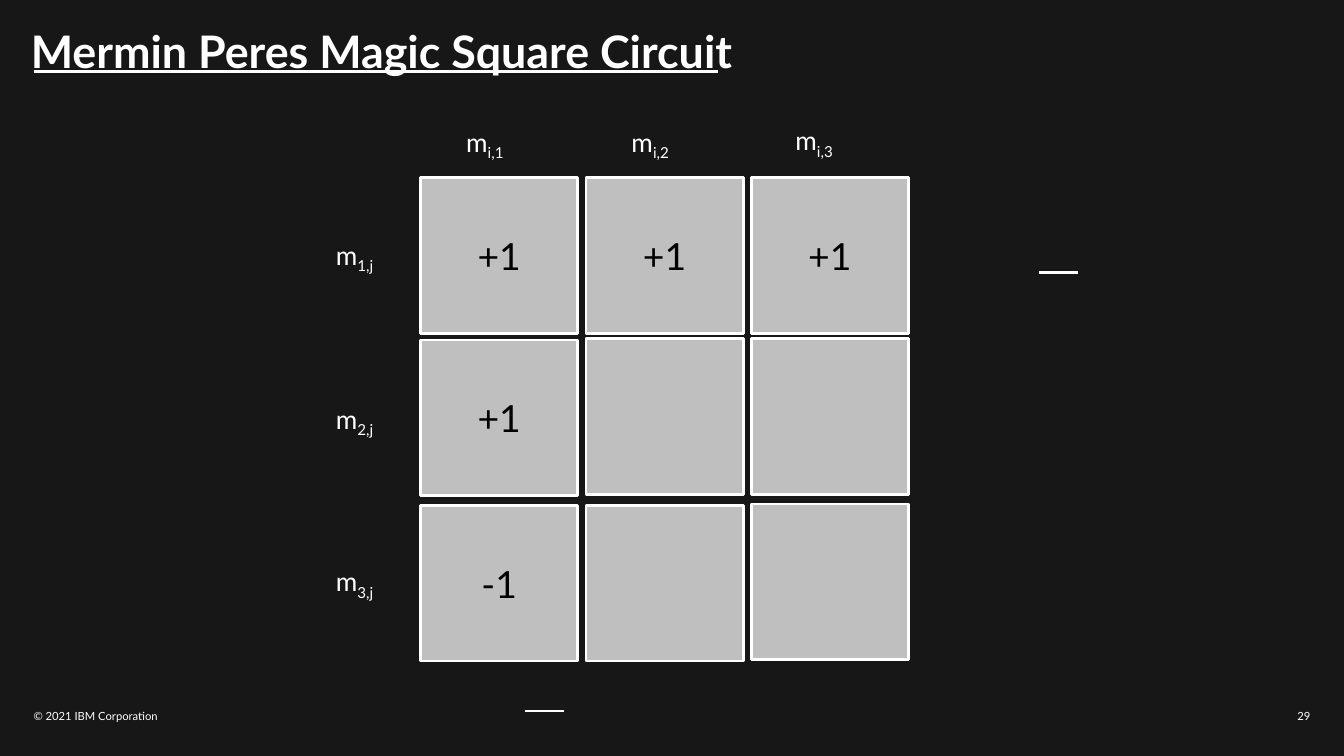
from lxml import etree
from pptx import Presentation
from pptx import util as u
from pptx.dml.color import RGBColor
from pptx.enum import shapes, text
from pptx.oxml import ns

BACKGROUND = RGBColor(0x17, 0x17, 0x17)
WHITE = RGBColor(0xFF, 0xFF, 0xFF)
BLACK = RGBColor(0, 0, 0)
GRAY = RGBColor(0xBF, 0xBF, 0xBF)


class Painter:
    font = "Lato"
    line_width = u.Pt(1.5)

    def __init__(self, page):
        self.page = page

    def add_span(self, para, words, size, color, bold=False, subscript=False):
        span = para.add_run()
        span.text = words
        span.font.name = self.font
        span.font.size = u.Pt(size)
        span.font.bold = bold
        span.font.color.rgb = color
        if subscript:
            span._r.get_or_add_rPr().set("baseline", "-25000")

    def set_margins(self, frame, margin):
        frame.margin_left = frame.margin_right = u.Inches(margin)
        frame.margin_top = frame.margin_bottom = u.Inches(margin)

    def add_text(self, left, top, width, height, words, size, bold=False,
                 anchor=text.MSO_ANCHOR.MIDDLE, align=text.PP_ALIGN.LEFT):
        box = self.page.shapes.add_textbox(*map(u.Inches, (left, top, width, height)))
        frame = box.text_frame
        frame.word_wrap = True
        frame.vertical_anchor = anchor
        self.set_margins(frame, 0)
        para = frame.paragraphs[0]
        para.alignment = align
        self.add_span(para, words, size, WHITE, bold)
        return para

    def add_label(self, left, top, index):
        box = self.page.shapes.add_textbox(*map(u.Inches, (left, top, 0.71, 0.34)))
        box.text_frame.word_wrap = True
        box.text_frame.auto_size = text.MSO_AUTO_SIZE.SHAPE_TO_FIT_TEXT
        para = box.text_frame.paragraphs[0]
        self.add_span(para, "m", 14, WHITE)
        self.add_span(para, index, 14, WHITE, subscript=True)

    def add_cell(self, left, top, value):
        cell = self.page.shapes.add_shape(
            shapes.MSO_SHAPE.RECTANGLE, *map(u.Inches, (left, top, 1.17, 1.16)))
        cell.shadow.inherit = False
        cell.fill.solid()
        cell.fill.fore_color.rgb = GRAY
        cell.line.color.rgb = WHITE
        cell.line.width = self.line_width
        if value:
            frame = cell.text_frame
            frame.vertical_anchor = text.MSO_ANCHOR.MIDDLE
            self.set_margins(frame, 0.04)
            para = frame.paragraphs[0]
            para.alignment = text.PP_ALIGN.CENTER
            self.add_span(para, value, 20, BLACK)

    def add_rule(self, left, right, top):
        rule = self.page.shapes.add_connector(
            shapes.MSO_CONNECTOR.STRAIGHT, *map(u.Inches, (left, top, right, top)))
        rule.line.color.rgb = WHITE
        rule.line.width = self.line_width
        etree.SubElement(rule._element.spPr, ns.qn("a:effectLst"))


def main():
    # Widescreen page, 16 by 9
    deck = Presentation()
    deck.slide_width = u.Inches(10)
    deck.slide_height = u.Inches(10 * 9 / 16)
    page = deck.slides.add_slide(deck.slide_layouts[6])
    page.background.fill.solid()
    page.background.fill.fore_color.rgb = BACKGROUND
    painter = Painter(page)

    # Title and footer
    title = painter.add_text(0.23, 0.22, 8.31, 1.04, "Mermin Peres Magic Square Circuit",
                             24, bold=True, anchor=text.MSO_ANCHOR.TOP)
    title.line_spacing = 0.9
    footer = painter.add_text(0.25, 5.24, 4.5, 0.18, "© 2021 IBM Corporation", 6)
    footer.space_after = u.Pt(6)
    painter.add_rule(0.25, 5.34, 0.53)
    painter.add_text(7.75, 5.24, 2, 0.18, "29", 6, align=text.PP_ALIGN.RIGHT)

    # Magic square: the top and value of each cell, row by row
    columns = [3.13 + 1.23 * i for i in range(3)]
    square = [
        [(1.32, "+1"), (1.32, "+1"), (1.32, "+1")],
        [(2.53, "+1"), (2.52, ""), (2.52, "")],
        [(3.76, "-1"), (3.76, ""), (3.75, "")],
    ]
    for row in square:
        for left, (top, value) in zip(columns, row):
            painter.add_cell(left, top, value)

    # Column and row labels
    for i, (left, top) in enumerate([(3.37, 0.89), (4.6, 0.89), (5.82, 0.88)], 1):
        painter.add_label(left, top, f"i,{i}")
    for i, top in enumerate([1.73, 2.95, 4.16], 1):
        painter.add_label(2.4, top, f"{i},j")

    # Short dashes beside and below the square
    painter.add_rule(7.73, 8.02, 2.03)
    painter.add_rule(3.91, 4.2, 5.29)

    deck.save("out.pptx")


if __name__ == "__main__":
    main()
